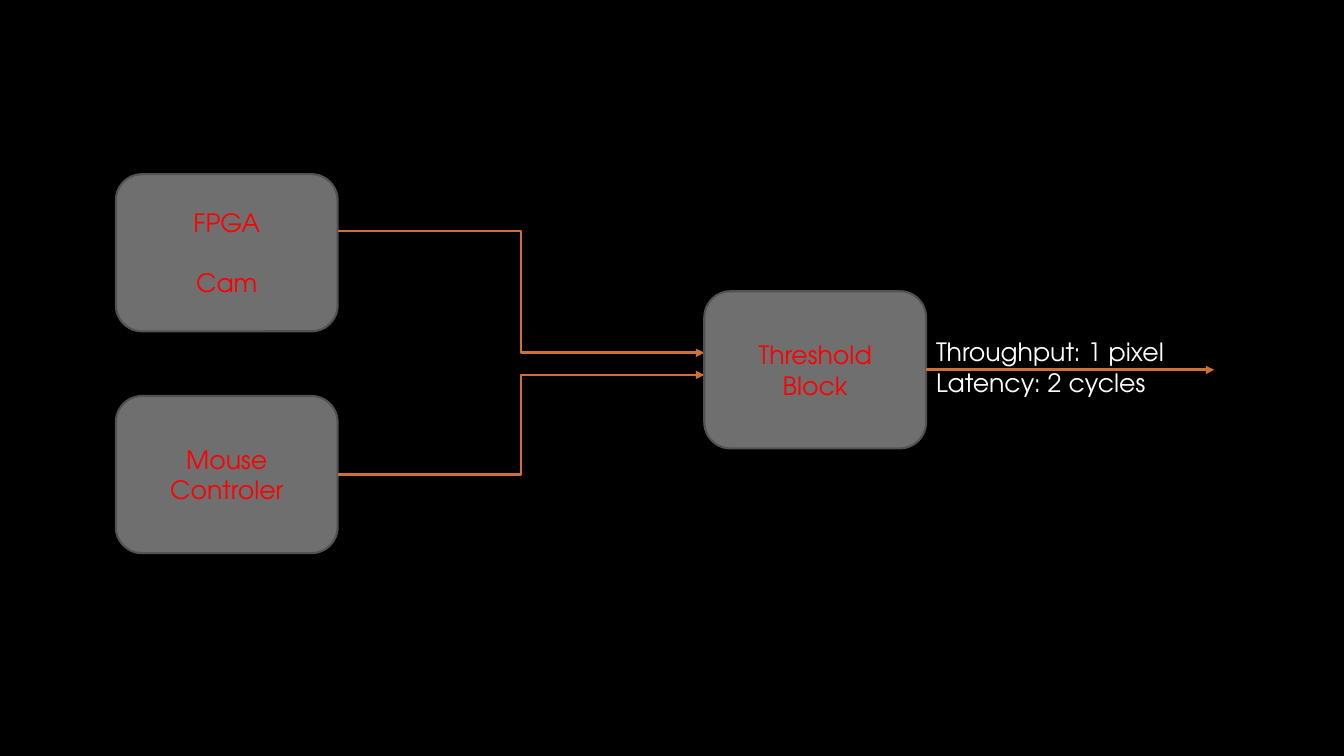
import pptx
import pptx.util
import pptx.dml.color
import pptx.enum.shapes
import pptx.enum.text
import lxml.etree
from pptx.oxml.ns import qn

Cm, Pt = pptx.util.Cm, pptx.util.Pt
FONT = "TeX Gyre Adventor"
COLORS = {"background": "000000", "block": "6F6F6F", "border": "525252",
          "label": "FF0000", "arrow": "CF7133", "note": "FFFFFF"}
BLOCK_W, BLOCK_H = 5.59, 3.96


def rgb(name):
    return pptx.dml.color.RGBColor.from_string(COLORS[name])


def write_lines(tf, lines, color, align, gap=0):
    tf.word_wrap = True
    for i, line in enumerate(lines):
        p = tf.add_paragraph() if i else tf.paragraphs[0]
        p.text = line
        p.alignment = align
        p.space_before = Pt(gap if i else 0)
        p.font.name = FONT
        p.font.size = Pt(18)
        p.font.color.rgb = rgb(color)


def add_block(s, x, y, lines, gap=0):
    sp = s.shapes.add_shape(pptx.enum.shapes.MSO_SHAPE.ROUNDED_RECTANGLE,
                            Cm(x), Cm(y), Cm(BLOCK_W), Cm(BLOCK_H))
    sp.shadow.inherit = False
    sp.fill.solid()
    sp.fill.fore_color.rgb = rgb("block")
    sp.line.color.rgb = rgb("border")
    sp.line.width = Pt(1.5)
    sp.text_frame.vertical_anchor = pptx.enum.text.MSO_ANCHOR.MIDDLE
    write_lines(sp.text_frame, lines, "label", pptx.enum.text.PP_ALIGN.CENTER, gap)


def add_arrow(s, kind, x1, y1, x2, y2):
    c = s.shapes.add_connector(kind, Cm(x1), Cm(y1), Cm(x2), Cm(y2))
    c.line.color.rgb = rgb("arrow")
    c.line.width = Pt(2)
    ln = c.line._get_or_add_ln()
    lxml.etree.SubElement(ln, qn("a:tailEnd"), type="triangle")
    lxml.etree.SubElement(c._element.spPr, qn("a:effectLst"))


def add_inputs(s, x, y, target_x):
    elbow = pptx.enum.shapes.MSO_CONNECTOR.ELBOW
    inputs = [(0, ["FPGA", "Cam"], 21.5, 1.43, 4.5),
              (5.59, ["Mouse", "Controler"], 0, 7.57, 5.06)]
    for top, lines, gap, start, end in inputs:
        add_block(s, x, y + top, lines, gap)
        add_arrow(s, elbow, x + BLOCK_W, y + start, target_x, y + end)


def add_threshold(s, x, y):
    add_block(s, x, y, ["Threshold", "Block"])
    right, middle = x + BLOCK_W, y + BLOCK_H / 2
    add_arrow(s, pptx.enum.shapes.MSO_CONNECTOR.STRAIGHT,
              right, middle, right + 7.26, middle)
    tb = s.shapes.add_textbox(Cm(right), Cm(y + 1.02), Cm(8.26), Cm(1.8))
    write_lines(tb.text_frame, ["Throughput: 1 pixel", "Latency: 2 cycles"],
                "note", pptx.enum.text.PP_ALIGN.LEFT)


def main():
    prs = pptx.Presentation()
    prs.slide_width, prs.slide_height = Cm(33.87), Cm(19.05)
    s = prs.slides.add_slide(prs.slide_layouts[6])
    s.background.fill.solid()
    s.background.fill.fore_color.rgb = rgb("background")
    threshold_x = 17.75
    add_inputs(s, 2.92, 4.39, threshold_x)
    add_threshold(s, threshold_x, 7.34)
    prs.save("out.pptx")


if __name__ == "__main__":
    main()
